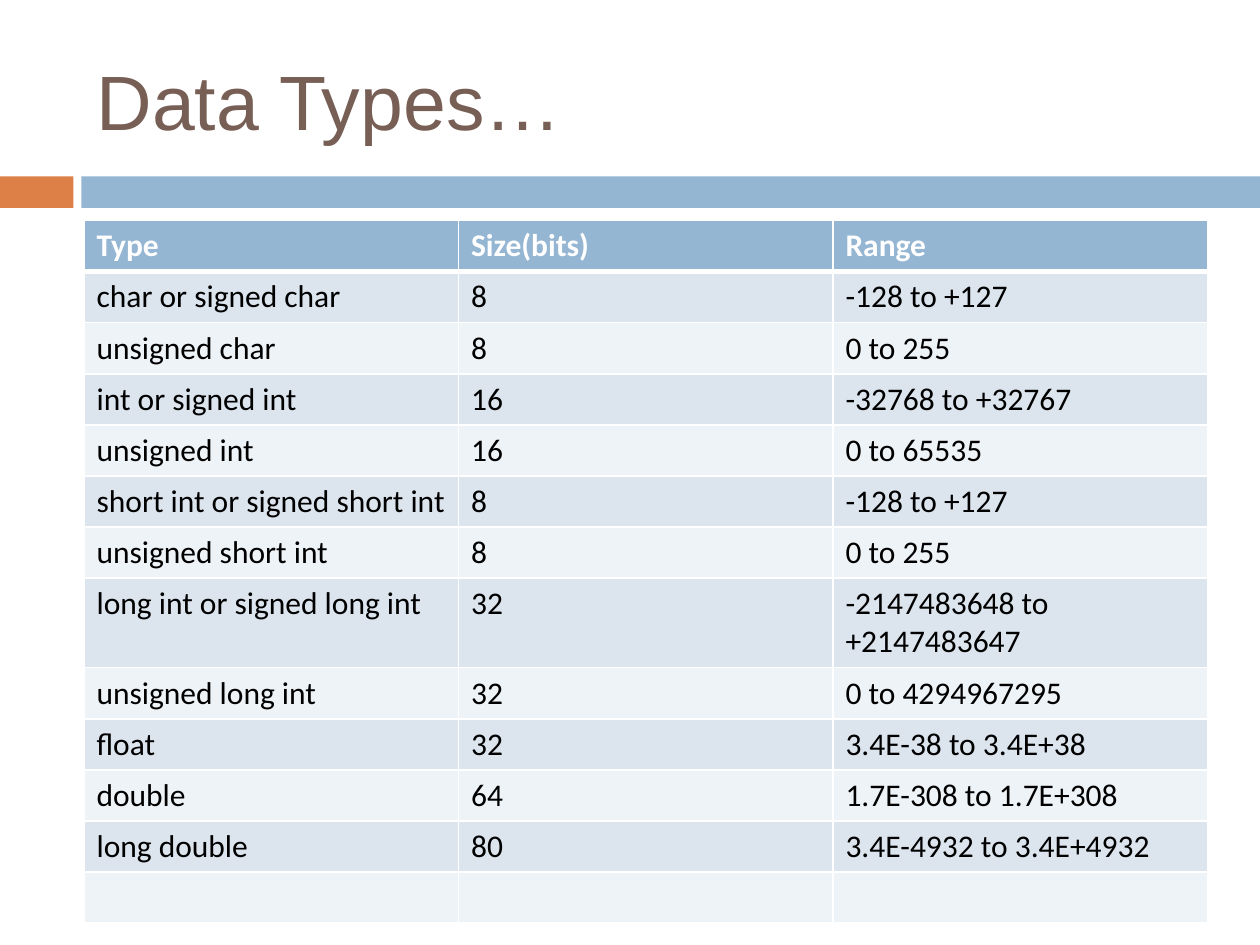
from dataclasses import dataclass

from lxml import etree
from pptx import Presentation
from pptx.dml.color import RGBColor
from pptx.enum import shapes, text
from pptx.oxml import ns
from pptx.util import Pt


@dataclass(frozen=True)
class Theme:
    font_title: str = "Arial"
    font_body: str = "Calibri"
    size_title: int = 44
    size_body: int = 18
    title: str = "775F55"
    accent: str = "DD8047"
    header: str = "94B6D2"
    bands: tuple = ("DCE5EE", "EEF3F7")
    ink: str = "000000"
    white: str = "FFFFFF"
    rule: int = 1
    header_rule: int = 3


HEADER = ("Type", "Size(bits)", "Range")
DATA_TYPES = [
    ("char or signed char", "8", "-128 to +127"),
    ("unsigned char", "8", "0 to 255"),
    ("int or signed int", "16", "-32768 to +32767"),
    ("unsigned int", "16", "0 to 65535"),
    ("short int or signed short int", "8", "-128 to +127"),
    ("unsigned short int", "8", "0 to 255"),
    ("long int or signed long int", "32", "-2147483648 to +2147483647"),
    ("unsigned long int", "32", "0 to 4294967295"),
    ("float", "32", "3.4E-38 to 3.4E+38"),
    ("double", "64", "1.7E-308 to 1.7E+308"),
    ("long double", "80", "3.4E-4932 to 3.4E+4932"),
    ("", "", ""),
]


def write(tf, content, *, font, size, color, bold=False):
    p = tf.paragraphs[0]
    p.alignment = text.PP_ALIGN.LEFT
    if not content:
        p.font.size = Pt(size)
        return
    r = p.add_run()
    r.text = content
    r.font.name = font
    r.font.size = Pt(size)
    r.font.bold = bold
    r.font.color.rgb = RGBColor.from_string(color)


def set_borders(cell, color, **widths):
    """Draw cell borders; widths are points keyed by side: L, R, T, B."""
    tc_pr = cell._tc.get_or_add_tcPr()
    for i, side in enumerate("LRTB"):
        ln = etree.Element(ns.qn(f"a:ln{side}"), w=str(Pt(widths[side])))
        fill = etree.SubElement(ln, ns.qn("a:solidFill"))
        etree.SubElement(fill, ns.qn("a:srgbClr"), val=color)
        tc_pr.insert(i, ln)


class SlideBuilder:
    def __init__(self, s, theme):
        self.s = s
        self.theme = theme

    def bar(self, x, y, w, h, color):
        sp = self.s.shapes.add_shape(
            shapes.MSO_SHAPE.RECTANGLE, Pt(x), Pt(y), Pt(w), Pt(h))
        sp.shadow.inherit = False
        sp.fill.solid()
        sp.fill.fore_color.rgb = RGBColor.from_string(color)
        sp.line.fill.background()

    def title(self, content, x, y, w, h):
        t = self.theme
        sp = self.s.shapes.title
        sp.left, sp.top, sp.width, sp.height = Pt(x), Pt(y), Pt(w), Pt(h)
        tf = sp.text_frame
        tf.auto_size = text.MSO_AUTO_SIZE.NONE
        tf.vertical_anchor = text.MSO_ANCHOR.MIDDLE
        write(tf, content, font=t.font_title, size=t.size_title, color=t.title)

    def table(self, rows, x, y, w, row_h):
        """Add a table with a header row above banded body rows."""
        t = self.theme
        tbl = self.s.shapes.add_table(
            len(rows), len(rows[0]), Pt(x), Pt(y), Pt(w), Pt(row_h * len(rows))).table
        for i, row in enumerate(rows):
            tbl.rows[i].height = Pt(row_h)
            head = i == 0
            fill = t.header if head else t.bands[(i - 1) % len(t.bands)]
            for j, content in enumerate(row):
                cell = tbl.cell(i, j)
                cell.fill.solid()
                cell.fill.fore_color.rgb = RGBColor.from_string(fill)
                set_borders(cell, t.white, L=t.rule, R=t.rule,
                            T=t.header_rule if i == 1 else t.rule,
                            B=t.header_rule if head else t.rule)
                write(cell.text_frame, content, font=t.font_body, size=t.size_body,
                      color=t.white if head else t.ink, bold=head)


def main():
    prs = Presentation()
    prs.slide_width, prs.slide_height = Pt(720), Pt(540)
    theme = Theme()
    s = prs.slides.add_slide(prs.slide_layouts.get_by_name("Title Only"))
    page = SlideBuilder(s, theme)

    left, width = 48, 642
    page.bar(0, 100.8, 42, 18, theme.accent)
    page.bar(46.5, 100.8, 673.5, 18, theme.header)
    page.title("Data Types…", left, 18, width, 78)
    page.table([HEADER, *DATA_TYPES], left, 126, width, 29.2)
    prs.save("out.pptx")


if __name__ == "__main__":
    main()
